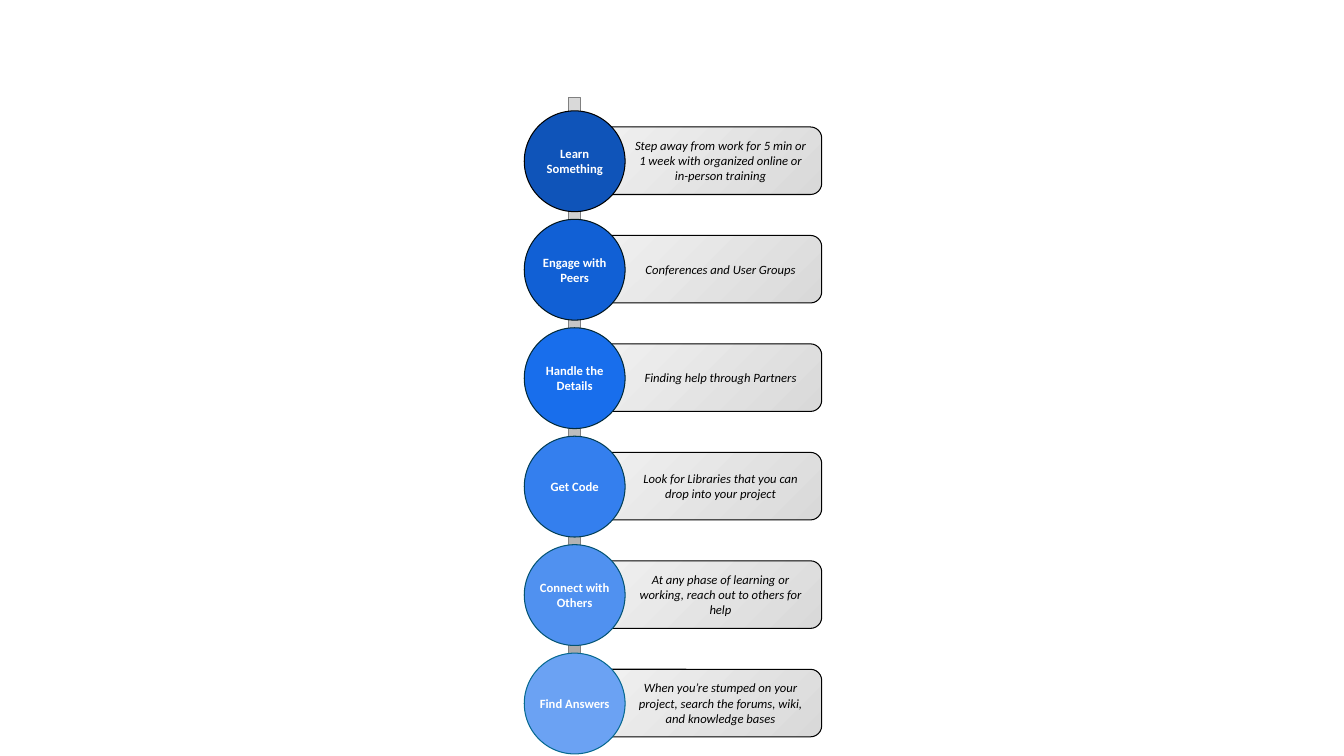
from pptx import Presentation
from pptx.dml.color import RGBColor
from pptx.enum.shapes import MSO_SHAPE as Shape
from pptx.enum.text import MSO_ANCHOR as Anchor, PP_ALIGN as Align
from pptx.util import Inches, Pt

# Circle label, circle fill, circle outline, card text
STEPS = [
    ("Learn Something", "0F54B9", "000000",
     "Step away from work for 5 min or 1 week with organized online or in-person training"),
    ("Engage with Peers", "1160D5", "01151D", "Conferences and User Groups"),
    ("Handle the Details", "186EEC", "022A3A", "Finding help through Partners"),
    ("Get Code", "347FEE", "033F57", "Look for Libraries that you can drop into your project"),
    ("Connect with Others", "5091F0", "045474",
     "At any phase of learning or working, reach out to others for help"),
    ("Find Answers", "6BA2F3", "066990",
     "When you’re stumped on your project, search the forums, wiki, and knowledge bases"),
]
FIRST_TOP, LAST_TOP = 1.1, 6.48
STEP_PITCH = (LAST_TOP - FIRST_TOP) / (len(STEPS) - 1)
CARD_OFFSET = 0.16


def color(hex_value):
    return RGBColor.from_string(hex_value)


def add_outlined(shapes, kind, box, line_color, line_width=0.75):
    shape = shapes.add_shape(kind, *map(Inches, box))
    shape.shadow.inherit = False
    shape.line.color.rgb = color(line_color)
    shape.line.width = Pt(line_width)
    return shape


def fill_gradient(shape, start, end, angle):
    """Fill with two colours; the angle runs counter-clockwise."""
    shape.fill.gradient()
    shape.fill.gradient_angle = angle
    for stop, hex_value in zip(shape.fill.gradient_stops, (start, end)):
        stop.color.rgb = color(hex_value)


def write(shape, text, text_color, bold=False, italic=False):
    frame = shape.text_frame
    frame.word_wrap = True
    frame.vertical_anchor = Anchor.MIDDLE
    paragraph = frame.paragraphs[0]
    paragraph.text = text
    paragraph.alignment = Align.CENTER
    font = paragraph.font
    font.name, font.size = "Calibri", Pt(9)
    font.bold, font.italic = bold, italic
    font.color.rgb = color(text_color)
    return frame


def add_card(shapes, top, text):
    card = add_outlined(shapes, Shape.ROUNDED_RECTANGLE, (5.76, top, 2.39, 0.67), "000000")
    fill_gradient(card, "F2F2F2", "D9D9D9", 315)
    frame = write(card, text, "000000", italic=True)
    frame.margin_left = Inches(0.48)


def add_spine(shapes):
    spine = add_outlined(shapes, Shape.RECTANGLE, (5.64, 0.97, 0.12, 6), "808080", 1)
    fill_gradient(spine, "D9D9D9", "A6A6A6", 270)


def add_circle(shapes, top, label, fill_color, line_color):
    circle = add_outlined(shapes, Shape.OVAL, (5.2, top, 1, 1), line_color)
    circle.fill.solid()
    circle.fill.fore_color.rgb = color(fill_color)
    frame = write(circle, label, "FFFFFF", bold=True)
    frame.margin_left = frame.margin_right = 0
    frame.margin_top = frame.margin_bottom = 0
    frame.paragraphs[0].space_after = Pt(4)


def main():
    presentation = Presentation()
    presentation.slide_width = Inches(13.33)
    presentation.slide_height = Inches(7.5)
    slide = presentation.slides.add_slide(presentation.slide_layouts[6])
    shapes = slide.shapes.add_group_shape().shapes

    tops = [FIRST_TOP + index * STEP_PITCH for index in range(len(STEPS))]
    for top, (_, _, _, text) in zip(tops, STEPS):
        add_card(shapes, top + CARD_OFFSET, text)
    add_spine(shapes)
    for top, (label, fill_color, line_color, _) in zip(tops, STEPS):
        add_circle(shapes, top, label, fill_color, line_color)

    presentation.save("out.pptx")


if __name__ == "__main__":
    main()
